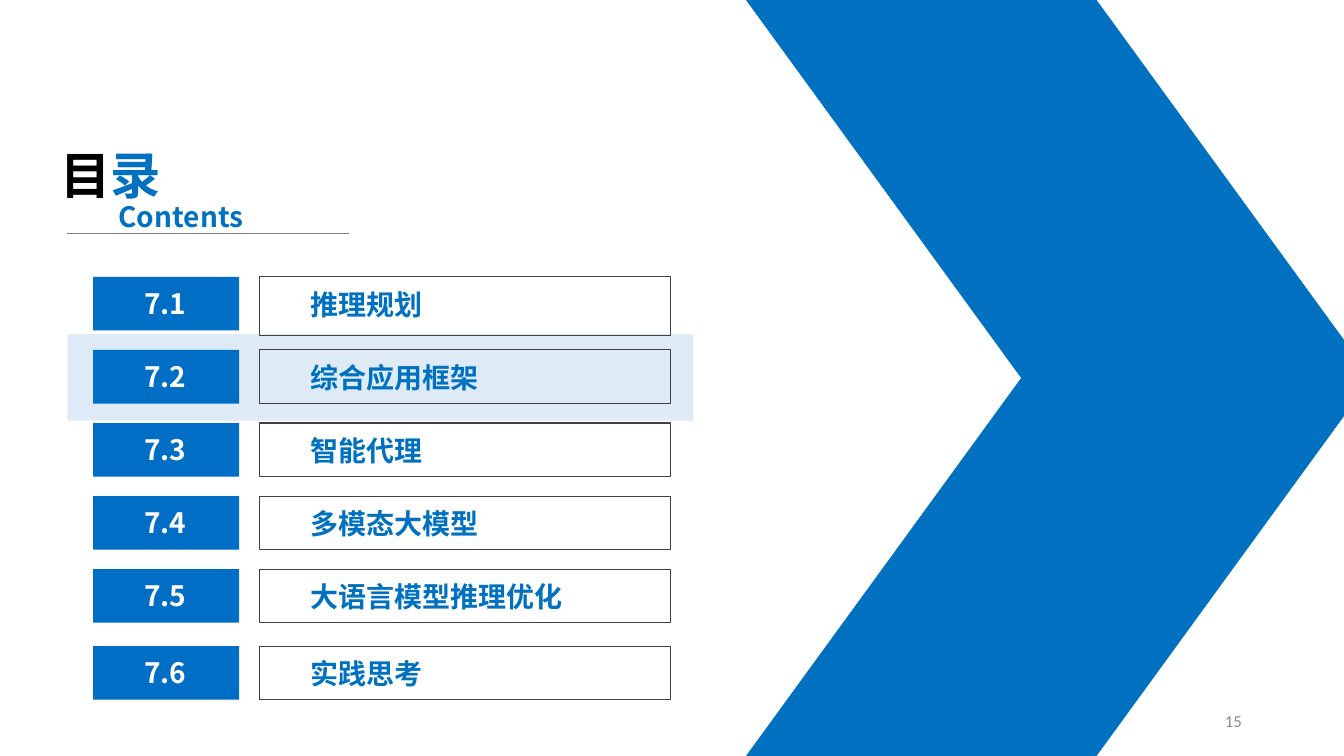
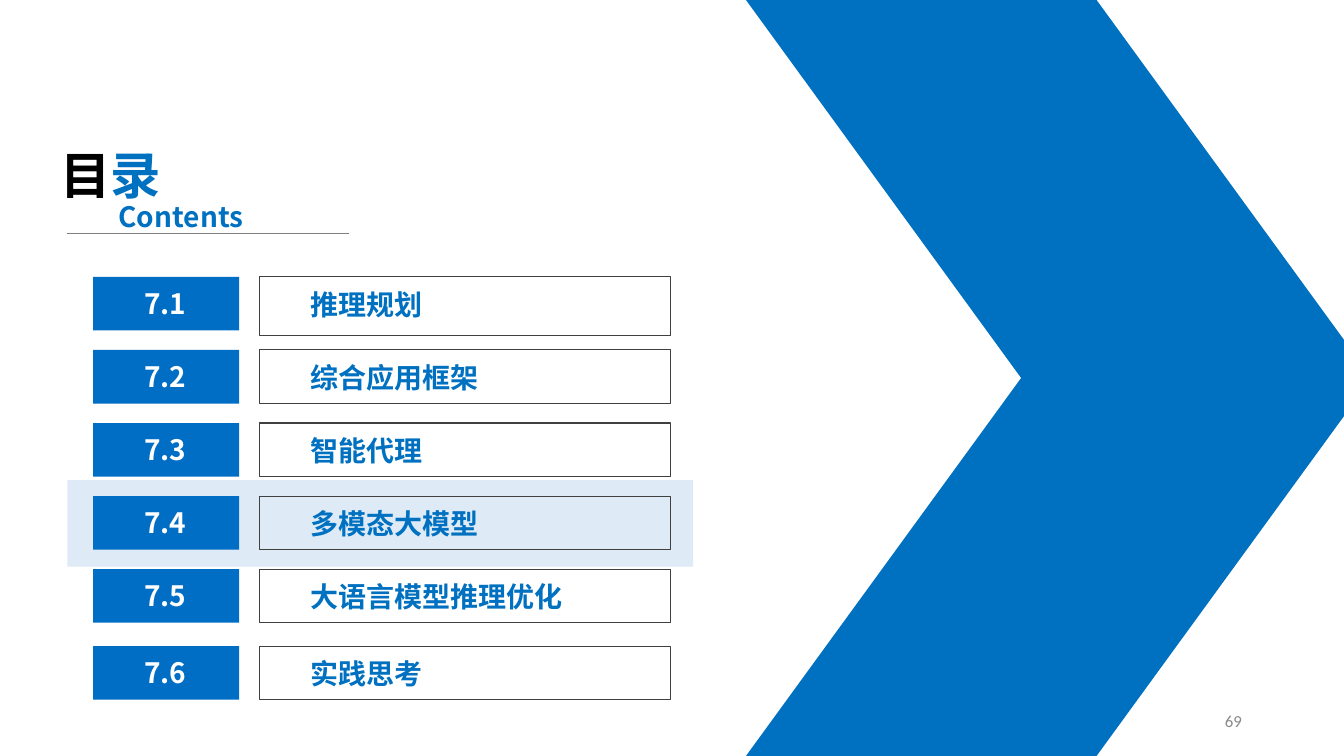
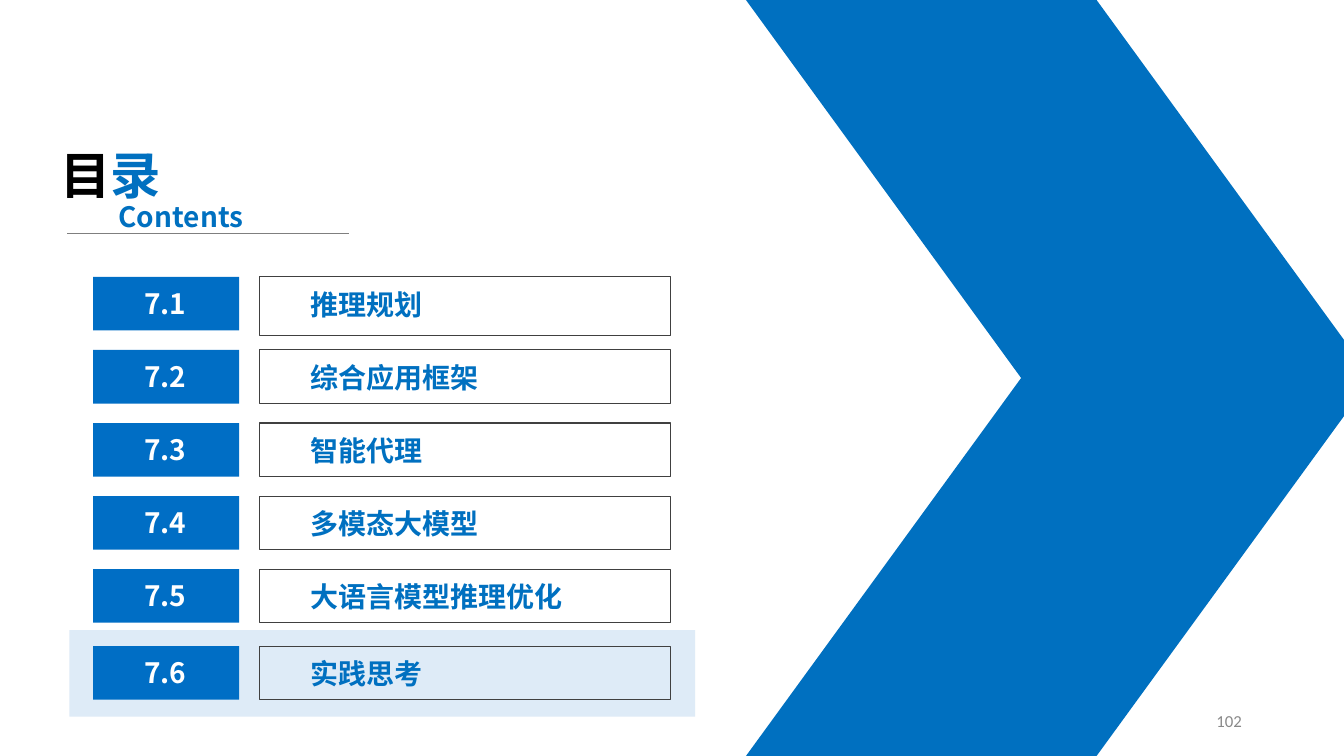
from lxml.etree import SubElement
from pptx import Presentation
from pptx.dml.color import RGBColor
from pptx.enum.shapes import MSO_CONNECTOR, MSO_SHAPE
from pptx.enum.text import MSO_ANCHOR, MSO_AUTO_SIZE, PP_ALIGN
from pptx.oxml.ns import qn
from pptx.util import Cm, Pt

COLORS = {
    "arrow": "0070C0",
    "badge": "006EC5",
    "highlight": "DEEBF7",
    "frame": "404040",
    "rule": "7F7F7F",
    "number": "898989",
    "black": "000000",
    "white": "FFFFFF",
}
HEADING_FONT = "Noto Sans CJK SC"
FORMATS = {
    "title": {"size": Pt(36), "name": HEADING_FONT, "bold": True},
    "entry": {"size": Pt(20), "name": HEADING_FONT, "bold": True},
    "number": {"size": Pt(12), "name": "Calibri", "bold": False},
}
TOPICS = ["推理规划", "综合应用框架", "智能代理", "多模态大模型", "大语言模型推理优化", "实践思考"]
ROW_TOPS = [6.98 + 1.84 * row for row in range(5)] + [16.28]
ROW_HEIGHT = 1.35
FIRST_FRAME_HEIGHT = 1.47
SECTIONS = [(1, 1.7, "15"), (3, 1.7, "69"), (5, 1.75, "102")]


class ContentsDeck:
    """Draw contents slides that share one style."""

    def __init__(self):
        self.presentation = Presentation()
        self.presentation.slide_width = Cm(33.87)
        self.presentation.slide_height = Cm(19.05)
        self.slide = None

    def add_slide(self):
        self.slide = self.presentation.slides.add_slide(self.presentation.slide_layouts[6])

    def color(self, name):
        return RGBColor.from_string(COLORS[name])

    def shape(self, box, fill=None, line=None, preset=MSO_SHAPE.RECTANGLE):
        shape = self.slide.shapes.add_shape(preset, *map(Cm, box))
        shape.shadow.inherit = False
        if fill:
            shape.fill.solid()
            shape.fill.fore_color.rgb = self.color(fill)
        else:
            shape.fill.background()
        if line:
            shape.line.color.rgb = self.color(line)
            shape.line.width = Pt(0.75)
        else:
            shape.line.fill.background()
        return shape

    def text(self, box, runs, style, align=PP_ALIGN.LEFT, anchor=MSO_ANCHOR.TOP,
             auto_size=MSO_AUTO_SIZE.SHAPE_TO_FIT_TEXT):
        frame = self.slide.shapes.add_textbox(*map(Cm, box)).text_frame
        settings = {"word_wrap": True, "auto_size": auto_size, "vertical_anchor": anchor}
        for attribute, value in settings.items():
            setattr(frame, attribute, value)
        paragraph = frame.paragraphs[0]
        paragraph.alignment = align
        for content, color in runs:
            run = paragraph.add_run()
            run.text = content
            for attribute, value in FORMATS[style].items():
                setattr(run.font, attribute, value)
            run.font.color.rgb = self.color(color)
            east_asian = SubElement(run.font._element, qn("a:ea"))
            east_asian.set("typeface", FORMATS[style]["name"])

    def rule(self, left, top, right):
        connector = self.slide.shapes.add_connector(
            MSO_CONNECTOR.STRAIGHT, Cm(left), Cm(top), Cm(right), Cm(top))
        connector.line.color.rgb = self.color("rule")
        connector.line.width = Pt(0.5)
        SubElement(connector._element.spPr, qn("a:effectLst"))

    def arrow(self):
        for top, flipped in ((9.525, False), (0, True)):
            half = self.shape((18.8, top, 15.77, 9.525), "arrow", preset=MSO_SHAPE.PARALLELOGRAM)
            half.adjustments[0] = 0.728
            if flipped:
                half._element.spPr.xfrm.set("flipV", "1")

    def heading(self):
        self.text((1.27, 3.51, 3.99, 1.8), [("目", "black"), ("录", "arrow")], "title")
        self.rule(1.7, 5.87, 8.79)
        self.text((2.74, 4.9, 3.99, 1.12), [("Contents", "arrow")], "entry")

    def topic(self, row, title):
        top = ROW_TOPS[row]
        frame_height = ROW_HEIGHT if row else FIRST_FRAME_HEIGHT
        self.shape((6.55, top, 10.36, frame_height), line="frame")
        self.text((7.57, top + 0.13, 9.37, 1.12), [(title, "arrow")], "entry")
        self.shape((2.35, top, 3.68, ROW_HEIGHT), "badge")
        self.text((2.83, top + 0.11, 2.67, 1.12), [(f"7.{row + 1}", "white")], "entry",
                  align=PP_ALIGN.CENTER)

    def page_number(self, number):
        self.text((23.93, 17.65, 7.62, 1.02), [(number, "number")], "number",
                  align=PP_ALIGN.RIGHT, anchor=MSO_ANCHOR.MIDDLE, auto_size=MSO_AUTO_SIZE.NONE)

    def contents(self, current_row, highlight_left, number):
        self.add_slide()
        self.shape((highlight_left, ROW_TOPS[current_row] - 0.4, 15.77, 2.18), "highlight")
        self.arrow()
        self.heading()
        for row, title in enumerate(TOPICS):
            self.topic(row, title)
        self.page_number(number)


def main():
    deck = ContentsDeck()
    for section in SECTIONS:
        deck.contents(*section)
    deck.presentation.save("out.pptx")


if __name__ == "__main__":
    main()
